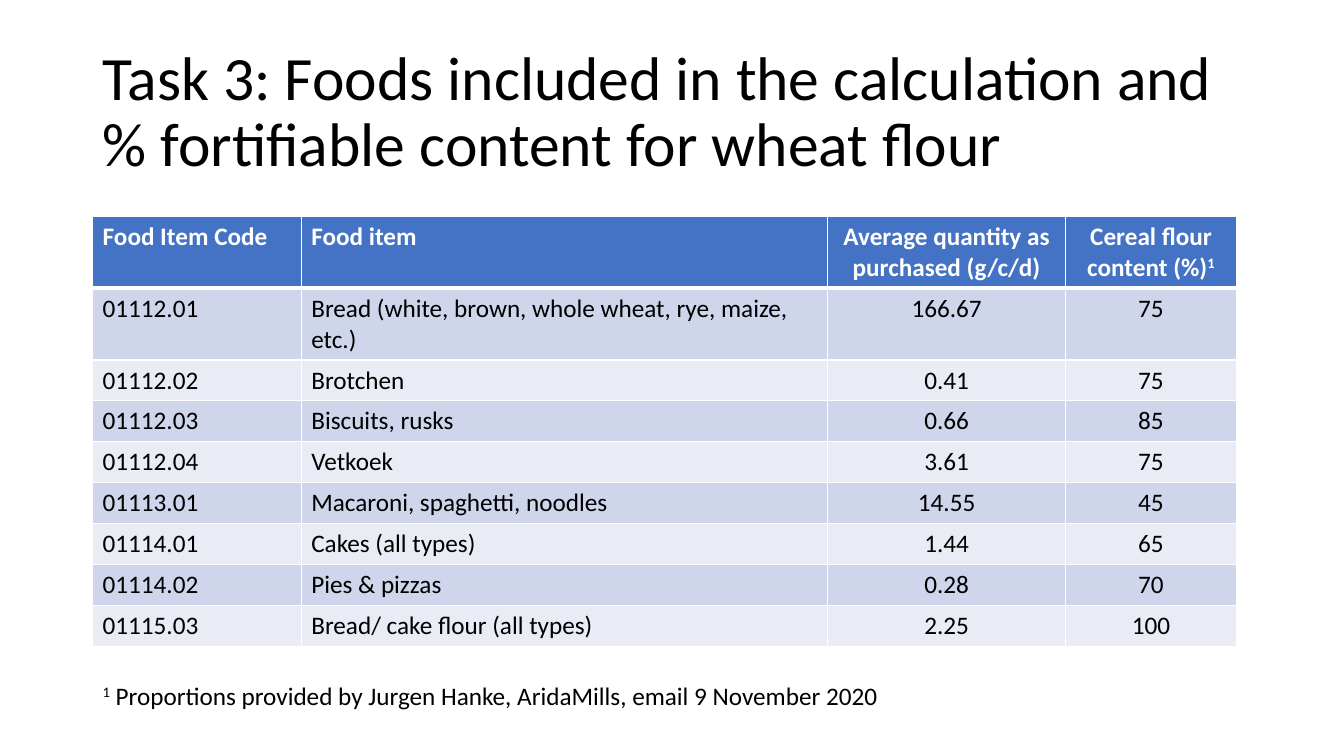
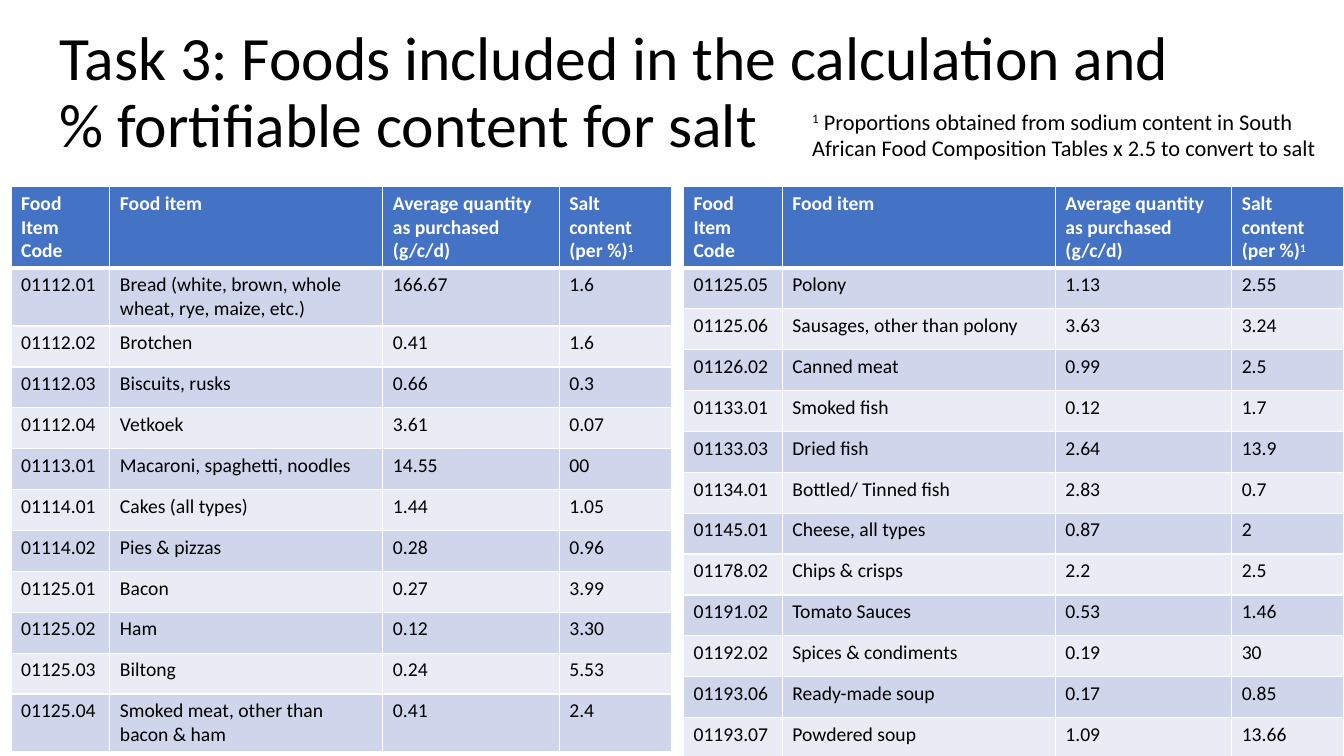
"""Build two slides of food tables for wheat flour and salt."""
from dataclasses import dataclass

from lxml import etree
from pptx import Presentation
from pptx.dml.color import RGBColor
from pptx.enum.text import MSO_ANCHOR, MSO_AUTO_SIZE, PP_ALIGN
from pptx.oxml.ns import qn
from pptx.util import Pt

LEFT, CENTER = PP_ALIGN.LEFT, PP_ALIGN.CENTER
MIDDLE = MSO_ANCHOR.MIDDLE
NO_FIT, GROW = MSO_AUTO_SIZE.NONE, MSO_AUTO_SIZE.SHAPE_TO_FIT_TEXT
TITLE_ONLY = 5
FONT = "Calibri"
COLORS = {
    "ink": "000000",
    "white": "FFFFFF",
    "header": "4472C4",
    "odd": "CFD5EA",
    "even": "E9EBF5",
}
RAISED = "¹"
ROW_HEIGHT = 29.2
TITLE_SIZE = (828, 104.4)


@dataclass(frozen=True)
class TableStyle:
    """Hold the format that tables of one kind share."""
    header: tuple[str, ...]
    widths: tuple[float, ...]
    aligns: tuple[PP_ALIGN, ...]
    size: float
    header_height: float
    wrapped_height: float
    wrap_length: int


@dataclass(frozen=True)
class FoodTable:
    """Place the rows of one table."""
    left: float
    top: float
    style: TableStyle
    rows: tuple[tuple[str, ...], ...]


@dataclass(frozen=True)
class Note:
    """Place one footnote."""
    left: float
    top: float
    width: float
    height: float
    size: float
    text: str


@dataclass(frozen=True)
class Page:
    """Describe one slide."""
    title: str
    left: float
    top: float
    items: tuple[FoodTable | Note, ...]


FLOUR_STYLE = TableStyle(
    ("Food Item Code", "Food item", "Average quantity as purchased (g/c/d)",
     "Cereal flour content (%)¹"),
    (149, 376, 170, 122), (LEFT, LEFT, CENTER, CENTER), 18, 50.4, 50.4, 45)
SALT_STYLE = TableStyle(
    ("Food Item Code", "Food item", "Average quantity as purchased (g/c/d)",
     "Salt content (per %)¹"),
    (70.6, 195, 126, 80), (LEFT,) * 4, 14, 58.2, 41.4, 30)

FLOUR_ROWS = (
    ("01112.01", "Bread (white, brown, whole wheat, rye, maize, etc.)", "166.67", "75"),
    ("01112.02", "Brotchen", "0.41", "75"),
    ("01112.03", "Biscuits, rusks", "0.66", "85"),
    ("01112.04", "Vetkoek", "3.61", "75"),
    ("01113.01", "Macaroni, spaghetti, noodles", "14.55", "45"),
    ("01114.01", "Cakes (all types)", "1.44", "65"),
    ("01114.02", "Pies & pizzas", "0.28", "70"),
    ("01115.03", "Bread/ cake flour (all types)", "2.25", "100"),
)
SALT_CONTENTS = ("1.6", "1.6", "0.3", "0.07", "00", "1.05", "0.96")
SALT_ROWS = tuple(
    (*food[:3], salt) for food, salt in zip(FLOUR_ROWS, SALT_CONTENTS)
) + (
    ("01125.01", "Bacon", "0.27", "3.99"),
    ("01125.02", "Ham", "0.12", "3.30"),
    ("01125.03", "Biltong", "0.24", "5.53"),
    ("01125.04", "Smoked meat, other than bacon & ham", "0.41", "2.4"),
)
MORE_SALT_ROWS = (
    ("01125.05", "Polony", "1.13", "2.55"),
    ("01125.06", "Sausages, other than polony", "3.63", "3.24"),
    ("01126.02", "Canned meat", "0.99", "2.5"),
    ("01133.01", "Smoked fish", "0.12", "1.7"),
    ("01133.03", "Dried fish", "2.64", "13.9"),
    ("01134.01", "Bottled/ Tinned fish", "2.83", "0.7"),
    ("01145.01", "Cheese, all types", "0.87", "2"),
    ("01178.02", "Chips & crisps", "2.2", "2.5"),
    ("01191.02", "Tomato Sauces", "0.53", "1.46"),
    ("01192.02", "Spices & condiments", "0.19", "30"),
    ("01193.06", "Ready-made soup", "0.17", "0.85"),
    ("01193.07", "Powdered soup", "1.09", "13.66"),
)

PAGES = (
    Page("Task 3: Foods included in the calculation and % fortifiable content for wheat flour",
         66.2, 28.8, (
             FoodTable(66.2, 154.8, FLOUR_STYLE, FLOUR_ROWS),
             Note(66.2, 482.4, 828, 29.1, 18,
                  "¹ Proportions provided by Jurgen Hanke, AridaMills, email 9 November 2020"),
         )),
    Page("Task 3: Foods included in the calculation and % fortifiable content for salt",
         35.3, 15.1, (
             FoodTable(7.9, 133.2, SALT_STYLE, SALT_ROWS),
             Note(573.1, 73.4, 386.6, 46.1, 16,
                  "¹ Proportions obtained from sodium content in South African Food "
                  "Composition Tables x 2.5 to convert to salt"),
             FoodTable(488.2, 133.2, SALT_STYLE, MORE_SALT_ROWS),
         )),
)


def rgb(name: str) -> RGBColor:
    """Look up a colour."""
    return RGBColor.from_string(COLORS[name])


def assign(target, values: dict) -> None:
    """Set each format value on the target."""
    for name, value in values.items():
        setattr(target, name, value)


def write(para, text: str, size: float, color: str = "ink", bold: bool = False,
          align: PP_ALIGN = LEFT) -> None:
    """Write a paragraph, raising its footnote mark."""
    para.alignment = align
    before, mark, after = text.partition(RAISED)
    for piece in (before, mark, after):
        if not piece:
            continue
        span = para.add_run()
        span.text = "1" if piece == RAISED else piece
        assign(span.font, {"name": FONT, "size": Pt(size), "bold": bold})
        span.font.color.rgb = rgb(color)
        if piece == RAISED:
            span._r.get_or_add_rPr().set("baseline", "30000")


def add_borders(cell, bottom: float) -> None:
    """Draw white borders around a cell."""
    properties = cell._tc.get_or_add_tcPr()
    for side, width in (("L", 1), ("R", 1), ("T", 1), ("B", bottom)):
        line = etree.SubElement(properties, qn(f"a:ln{side}"), w=str(Pt(width)))
        fill = etree.SubElement(line, qn("a:solidFill"))
        etree.SubElement(fill, qn("a:srgbClr"), val=COLORS["white"])


def draw_table(slide, table: FoodTable) -> None:
    """Draw a banded table with its header."""
    style = table.style
    rows = (style.header, *table.rows)
    heights = [style.header_height] + [
        style.wrapped_height if len(row[1]) > style.wrap_length else ROW_HEIGHT
        for row in table.rows]
    grid = slide.shapes.add_table(
        len(rows), len(style.widths), Pt(table.left), Pt(table.top),
        Pt(sum(style.widths)), Pt(sum(heights))).table
    for column, width in zip(grid.columns, style.widths):
        column.width = Pt(width)
    for index, (row, height) in enumerate(zip(rows, heights)):
        is_header = index == 0
        band = "header" if is_header else "odd" if index % 2 else "even"
        grid.rows[index].height = Pt(height)
        for column, (text, align) in enumerate(zip(row, style.aligns)):
            cell = grid.cell(index, column)
            add_borders(cell, 3 if is_header else 1)
            cell.fill.solid()
            cell.fill.fore_color.rgb = rgb(band)
            write(cell.text_frame.paragraphs[0], text, style.size,
                  "white" if is_header else "ink", is_header, align)


def draw_note(slide, note: Note) -> None:
    """Draw a footnote."""
    box = slide.shapes.add_textbox(
        Pt(note.left), Pt(note.top), Pt(note.width), Pt(note.height))
    assign(box.text_frame, {"word_wrap": True, "auto_size": GROW})
    write(box.text_frame.paragraphs[0], note.text, note.size)


def draw_page(deck, page: Page) -> None:
    """Add a slide with its title and items."""
    slide = deck.slides.add_slide(deck.slide_layouts[TITLE_ONLY])
    title = slide.shapes.title
    width, height = TITLE_SIZE
    assign(title, {"left": Pt(page.left), "top": Pt(page.top),
                   "width": Pt(width), "height": Pt(height)})
    assign(title.text_frame, {"word_wrap": True, "auto_size": NO_FIT,
                              "vertical_anchor": MIDDLE})
    para = title.text_frame.paragraphs[0]
    para.line_spacing = 0.9
    write(para, page.title, 44)
    for item in page.items:
        if isinstance(item, FoodTable):
            draw_table(slide, item)
        else:
            draw_note(slide, item)


def main() -> None:
    """Build and save the deck."""
    deck = Presentation()
    assign(deck, {"slide_width": Pt(960), "slide_height": Pt(540)})
    for page in PAGES:
        draw_page(deck, page)
    deck.save("out.pptx")


if __name__ == "__main__":
    main()
